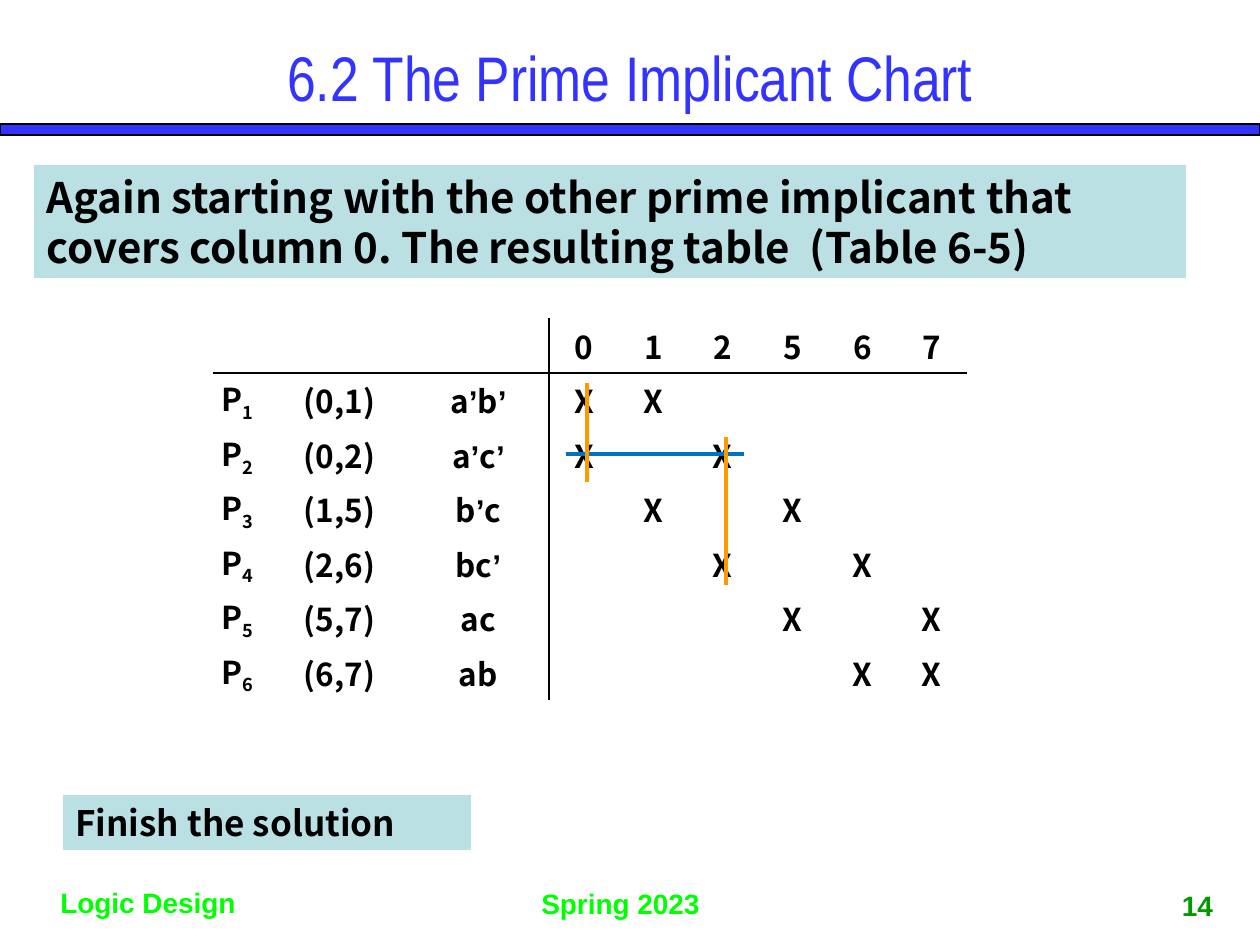
from dataclasses import dataclass
from itertools import groupby

from pptx import Presentation
from pptx.dml.color import RGBColor
from pptx.enum.shapes import MSO_CONNECTOR, MSO_SHAPE
from pptx.enum.text import MSO_ANCHOR, PP_ALIGN
from pptx.oxml.ns import qn
from pptx.util import Emu, Pt
from lxml import etree

LEFT, CENTER = PP_ALIGN.LEFT, PP_ALIGN.CENTER
TOP, MIDDLE, BOTTOM = MSO_ANCHOR.TOP, MSO_ANCHOR.MIDDLE, MSO_ANCHOR.BOTTOM
RECTANGLE, STRAIGHT = MSO_SHAPE.RECTANGLE, MSO_CONNECTOR.STRAIGHT
PIXEL = 914400 // 126
PRIME = "\u2019"


@dataclass(frozen=True)
class Theme:
    blue: str = "3333FF"
    panel: str = "BBE0E3"
    ink: str = "000000"
    footer: str = "00FF00"
    number: str = "009900"
    row_mark: str = "0070C0"
    column_mark: str = "FF9900"
    title_font: str = "Arial Narrow"
    body_font: str = "Noto Sans CJK KR"
    small_font: str = "Arial"
    title_size: int = 36
    lead_size: int = 24
    note_size: int = 20
    cell_size: int = 18
    footer_size: int = 16


THEME = Theme()
MINTERMS = [0, 1, 2, 5, 6, 7]
IMPLICANTS = [
    ((0, 1), "a’b’"),
    ((0, 2), "a’c’"),
    ((1, 5), "b’c"),
    ((2, 6), "bc’"),
    ((5, 7), "ac"),
    ((6, 7), "ab"),
]


def px(*lengths):
    return [Emu(length * PIXEL) for length in lengths]


def style(para, font, size, color, bold=True, align=LEFT):
    para.alignment = align
    para.font.name = font
    para.font.size = Pt(size)
    para.font.bold = bold
    para.font.color.rgb = RGBColor.from_string(color)


def add_text(page, box, text, font, size, color, bold=True, align=LEFT, anchor=TOP):
    frame = page.shapes.add_textbox(*px(*box)).text_frame
    frame.word_wrap = True
    frame.vertical_anchor = anchor
    frame.text = text
    style(frame.paragraphs[0], font, size, color, bold, align)


def add_rectangle(page, box, fill, line=None):
    shape = page.shapes.add_shape(RECTANGLE, *px(*box))
    shape.shadow.inherit = False
    shape.fill.solid()
    shape.fill.fore_color.rgb = RGBColor.from_string(fill)
    if line:
        shape.line.color.rgb = RGBColor.from_string(line)
        shape.line.width = Pt(0.75)
    else:
        shape.line.fill.background()
    return shape


def add_line(page, start, end, color, width):
    line = page.shapes.add_connector(STRAIGHT, *px(*start, *end))
    line.line.color.rgb = RGBColor.from_string(color)
    line.line.width = Pt(width)
    etree.SubElement(line.element.spPr, qn("a:effectLst"))


def add_header(page, box):
    left, top, width, height = box
    add_rectangle(page, (left, top + height - 11, width, 11), THEME.blue, THEME.ink)
    add_text(page, (left + 63, top + 38, width - 126, 77), "6.2 The Prime Implicant Chart",
             THEME.title_font, THEME.title_size, THEME.blue, False, CENTER, MIDDLE)


def add_panel(page, box, text, size):
    frame = add_rectangle(page, box, THEME.panel).text_frame
    frame.word_wrap = True
    frame.vertical_anchor = TOP
    frame.text = text
    style(frame.paragraphs[0], THEME.body_font, size, THEME.ink)


def fill_cell(cell, text, subscript=""):
    cell.fill.background()
    cell.vertical_anchor = MIDDLE
    cell.margin_top = cell.margin_bottom = 0
    para = cell.text_frame.paragraphs[0]
    style(para, THEME.body_font, THEME.cell_size, THEME.ink, align=CENTER)
    for is_prime, letters in groupby(text, lambda letter: letter == PRIME):
        span = para.add_run()
        span.text = "".join(letters)
        if is_prime:
            span.font.name = THEME.small_font
    if subscript:
        span = para.add_run()
        span.text = subscript
        span.font._element.set("baseline", "-25000")


def add_implicant_chart(page, box):
    left, top, width, height = box
    labels = [0, 68, 205, 346]
    count = len(MINTERMS)
    step = (width - labels[-1]) / count
    columns = labels + [round(labels[-1] + step * (i + 1)) for i in range(count)]
    rows = [round(height * i / (len(IMPLICANTS) + 1)) for i in range(len(IMPLICANTS) + 2)]

    # Cells
    table = page.shapes.add_table(len(rows) - 1, len(columns) - 1, *px(*box)).table
    table.first_row = table.horz_banding = False
    for column, start, end in zip(table.columns, columns, columns[1:]):
        column.width = px(end - start)[0]
    for row, start, end in zip(table.rows, rows, rows[1:]):
        row.height = px(end - start)[0]
    grid = [["", "", ""] + [str(minterm) for minterm in MINTERMS]]
    for covered, term in IMPLICANTS:
        crosses = ["X" if minterm in covered else "" for minterm in MINTERMS]
        grid.append(["P", "({},{})".format(*covered), term] + crosses)
    for r, texts in enumerate(grid):
        for c, text in enumerate(texts):
            fill_cell(table.cell(r, c), text, str(r) if text == "P" else "")

    # Rules
    rule_x, rule_y = left + labels[-1], top + rows[1]
    add_line(page, (left + 10, rule_y), (left + width, rule_y), THEME.ink, 1)
    add_line(page, (rule_x, top), (rule_x, top + height), THEME.ink, 1)

    # Strikes through the chosen row and its columns
    strike_y = top + (rows[2] + rows[3]) // 2
    add_line(page, (rule_x + 17, strike_y), (rule_x + 195, strike_y), THEME.row_mark, 2.25)
    for minterm, start, end in ((0, 65, 164), (2, 119, 267)):
        x = rule_x + round(step * (MINTERMS.index(minterm) + 0.5)) + 3
        add_line(page, (x, top + start), (x, top + end), THEME.column_mark, 2.25)


def add_footer(page, box):
    left, top, width, height = box
    parts = [
        ((left + 34, top + 10, 228, 47), "Logic Design", THEME.footer, CENTER, TOP),
        ((left + 529, top + 11, 201, 47), "Spring 2023", THEME.footer, LEFT, TOP),
        ((left + width - 110, top, 95, height), "14", THEME.number, CENTER, BOTTOM),
    ]
    for part, text, color, align, anchor in parts:
        add_text(page, part, text, THEME.small_font, THEME.footer_size, color,
                 align=align, anchor=anchor)


def main():
    deck = Presentation()
    deck.slide_width, deck.slide_height = px(1260, 945)
    page = deck.slides.add_slide(deck.slide_layouts[6])
    add_header(page, (0, 0, 1260, 135))
    add_panel(page, (34, 165, 1152, 113),
              "Again starting with the other prime implicant that covers column 0. "
              "The resulting table  (Table 6-5)", THEME.lead_size)
    add_panel(page, (63, 795, 408, 55), "Finish the solution", THEME.note_size)
    add_implicant_chart(page, (203, 318, 764, 382))
    add_footer(page, (0, 869, 1260, 59))
    deck.save("out.pptx")


main()
